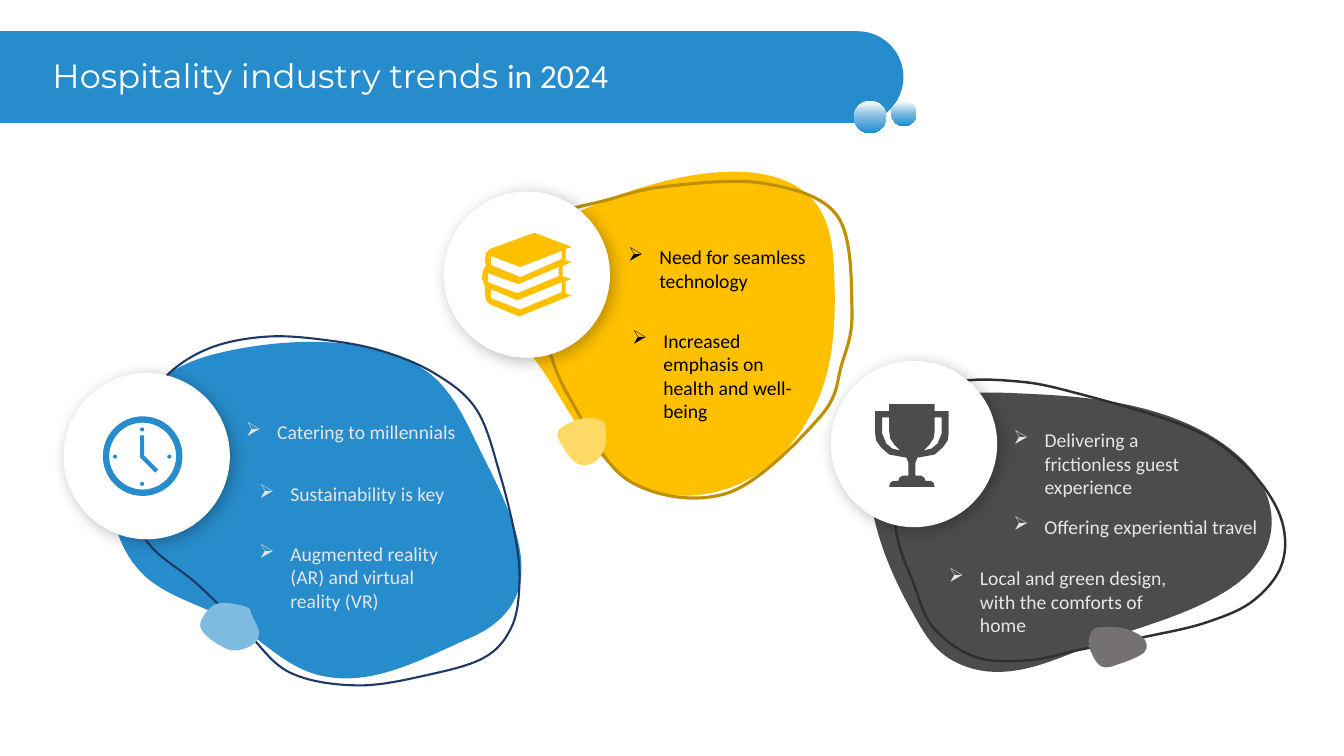
from copy import deepcopy
from functools import partial
from lxml.etree import Element, SubElement
from pptx import Presentation
from pptx.dml.color import RGBColor
from pptx.enum.shapes import MSO_SHAPE
from pptx.enum.text import MSO_ANCHOR, MSO_AUTO_SIZE
from pptx.oxml.ns import qn
from pptx.util import Inches, Pt

COLORS = {"blue": "278CCB", "navy": "203864", "sky": "7FBBE0", "deep": "1B8FD7", "yellow": "FFC000",
          "ochre": "BF9000", "cream": "FFD966", "gray": "4C4C4D", "coal": "302F2F", "stone": "767171",
          "white": "FFFFFF", "black": "000000", "pale": "E7E6E6"}


def rgb(name):
    return RGBColor.from_string(COLORS[name])


def pairs(*numbers):
    return list(zip(numbers[::2], numbers[1::2]))


def mirror(points):
    return [(2.09 - x, y) for x, y in reversed(points)]


def smooth_loop(anchors):
    """Return Bezier points of a smooth closed curve through the anchors."""
    count, curve = len(anchors), [anchors[0]]
    for i in range(count):
        before, start, end, after = (anchors[(i + step) % count] for step in (-1, 0, 1, 2))
        curve.append(tuple(s + (e - b) / 6 for b, s, e in zip(before, start, end)))
        curve.append(tuple(e - (a - s) / 6 for s, e, a in zip(start, end, after)))
        curve.append(end)
    return curve


def paint(shape, fill=None, line=None, width=1.5):
    shape.shadow.inherit = False
    for part, color in ((shape.fill, fill), (shape.line.fill, line)):
        if color:
            part.solid()
            part.fore_color.rgb = rgb(color)
        else:
            part.background()
    if line:
        shape.line.width = Pt(width)
    return shape


def add_outline(page, origin, contours, **style):
    contours = [[(Inches(x), Inches(y)) for x, y in contour] for contour in contours]
    builder = page.shapes.build_freeform(*contours[0][0], scale=1.0)
    for i, contour in enumerate(contours):
        if i:
            builder.move_to(*contour[0])
        builder.add_line_segments(contour[1:], close=True)
    return paint(builder.convert_to_shape(*map(Inches, origin)), **style)


def add_curve(page, origin, curve, **style):
    """Draw an outline through every third point, bent by the two between."""
    anchors = curve[::3]
    left, top = (min(values) for values in zip(*anchors))
    outline = add_outline(page, origin, [anchors], **style)
    sides = list(outline._element.iter(qn("a:lnTo")))
    for i, side in enumerate(sides[:len(anchors) - 1]):
        bend = Element(qn("a:cubicBezTo"))
        for x, y in curve[3 * i + 1:3 * i + 4]:
            SubElement(bend, qn("a:pt"), x=str(Inches(x - left)), y=str(Inches(y - top)))
        side.getparent().replace(side, bend)


def add_preset(page, kind, left, top, width, height, fill):
    return paint(page.shapes.add_shape(kind, *map(Inches, (left, top, width, height))), fill)


def add_disc(page, left, top):
    disc = add_preset(page, MSO_SHAPE.OVAL, left, top, 1.65, 1.65, "white")
    shadow = SubElement(disc._element.spPr.find(qn("a:effectLst")), qn("a:outerShdw"), blurRad=str(Pt(11)),
                        dist=str(Pt(3)), dir="2700000", algn="tl", rotWithShape="0")
    color = SubElement(shadow, qn("a:srgbClr"), val=COLORS["black"])
    SubElement(color, qn("a:alpha"), val="27000")


def add_clock(page, origin, fill):
    x, y = origin[0] + 1.41, origin[1] + 1.53
    add_preset(page, MSO_SHAPE.DONUT, x - 0.39, y - 0.4, 0.79, 0.79, fill).adjustments[0] = 0.08
    for dx, dy in ((0, -0.27), (0, 0.27), (-0.27, 0), (0.27, 0)):
        add_preset(page, MSO_SHAPE.OVAL, x + dx - 0.02, y + dy - 0.02, 0.04, 0.04, fill)
    hands = pairs(0.02, -0.21, -0.02, -0.21, -0.02, 0.01, 0.13, 0.16, 0.16, 0.13, 0.02, -0.01)
    add_outline(page, (x, y), [hands], fill=fill)


def add_bullet(page, text, box, color, anchor):
    frame = page.shapes.add_textbox(*map(Inches, box)).text_frame
    layout = {"word_wrap": True, "vertical_anchor": anchor}
    layout.update({f"margin_{side}": 0 for side in ("left", "right", "top", "bottom")})
    for name, value in layout.items():
        setattr(frame, name, value)
    para = frame.paragraphs[0]
    para.text = text
    properties = para._p.get_or_add_pPr()
    properties.set("marL", str(Inches(0.31)))
    properties.set("indent", str(Inches(-0.31)))
    SubElement(properties, qn("a:buChar"), char="➢")
    for span in para.runs:
        span.font.name, span.font.size = "Calibri", Pt(14)
        span.font.color.rgb = rgb(color)


def add_panel(page, left, top, panel):
    """Draw one blob with its ring, pebble, icon disc and bullets."""
    origin, (main, edge, light) = (left, top), panel["colors"]
    add_curve(page, origin, panel["blob"], fill=main)
    add_curve(page, origin, smooth_loop(panel["ring"]), line=edge, width=panel["ring_width"])
    add_curve(page, origin, smooth_loop(panel["pebble"]), fill=light)
    add_disc(page, left + panel["disc"][0], top + panel["disc"][1])
    panel["icon"](page, origin, fill=main)
    for text, x, y, width, height in panel["bullets"]:
        add_bullet(page, text, (left + x, top + y, width, height), panel["text"], panel["anchor"])


def add_header(page, left, top, width, height):
    # The rounded end of the band points up until it is turned
    inset = (width - height) / 2
    banner = add_preset(page, MSO_SHAPE.ROUND_2_SAME_RECTANGLE, left + inset, top - inset, height, width, "blue")
    banner.rotation = 90
    banner.adjustments[0], banner.adjustments[1] = 0.5, 0
    title = page.shapes.title
    title._element.addprevious(banner._element)
    for name, value in {"left": left + 0.42, "top": top + 0.21, "width": 7.62, "height": 0.48}.items():
        setattr(title, name, Inches(value))
    title.text_frame.vertical_anchor = MSO_ANCHOR.BOTTOM
    title.text_frame.auto_size = MSO_AUTO_SIZE.NONE
    para = title.text_frame.paragraphs[0]
    para.line_spacing = 0.9
    para._p.get_or_add_pPr().set("algn", "l")
    for text, font in (("Hospitality industry trends ", "Montserrat"), ("in 2024", "Calibri")):
        span = para.add_run()
        span.text, span.font.name, span.font.size = text, font, Pt(24)
        span.font.color.rgb = rgb("white")
    for x, size in ((8.47, 0.32), (8.84, 0.25)):
        bubble = add_preset(page, MSO_SHAPE.OVAL, left + x, top + 0.69, size, size, "sky")
        bubble.fill.gradient()
        bubble.fill.gradient_angle = 270
        stops = bubble._element.spPr.find(".//" + qn("a:gsLst"))
        stops.append(deepcopy(stops[0]))
        for stop, position, name in zip(bubble.fill.gradient_stops, (0, 0.5, 1), ("white", "sky", "deep")):
            stop.position, stop.color.rgb = position, rgb(name)


BOOKS = [
    pairs(1.67, 1.6, 1.61, 1.58, 1.61, 1.47, 1.67, 1.45, 1.3, 1.31, 0.86, 1.47, 0.82, 1.51, 0.81, 1.59, 0.82, 1.64,
          0.79, 1.68, 0.78, 1.76, 0.81, 1.85, 0.81, 1.91, 0.82, 1.98, 0.86, 2.02, 1.15, 2.14, 1.67, 1.93,
          1.61, 1.91, 1.61, 1.79, 1.67, 1.77, 1.58, 1.74, 1.58, 1.64),
    pairs(0.87, 1.54, 1.16, 1.65, 1.57, 1.49, 1.57, 1.57, 1.16, 1.75, 0.87, 1.63),
    pairs(1.57, 1.9, 1.16, 2.07, 0.87, 1.96, 0.87, 1.87, 1.13, 1.98, 1.57, 1.8),
    pairs(1.54, 1.74, 1.13, 1.91, 0.84, 1.8, 0.84, 1.71, 1.14, 1.82, 1.54, 1.65)]
CUP = pairs(1.27, 1.01, 1.27, 1.08, 1.41, 1.08, 1.41, 1.3, 1.4, 1.37, 1.35, 1.44, 1.27, 1.51, 1.1, 1.54, 1.08, 1.59,
            1.08, 1.72, 1.14, 1.72, 1.17, 1.74, 1.18, 1.77, 1.23, 1.77, 1.26, 1.79, 1.27, 1.83)
HANDLE = pairs(1.3, 1.4, 1.24, 1.45, 1.16, 1.47, 1.22, 1.41, 1.26, 1.35, 1.27, 1.28, 1.27, 1.14, 1.34, 1.14, 1.34, 1.3)
TROPHY = [CUP + mirror(CUP), HANDLE, mirror(HANDLE)]
MILLENNIALS = {
    "colors": ("blue", "navy", "sky"), "ring_width": 1.5, "disc": (0.63, 0.7), "icon": add_clock,
    "text": "pale", "anchor": MSO_ANCHOR.MIDDLE,
    "blob": pairs(4.7, 1.34, 4.59, 1.11, 4.47, 0.88, 4.28, 0.72, 3.75, 0.3, 2.81, 0.35, 2.18, 0.5, 1.52, 0.65, 1.09, 1.1,
                  1.09, 1.78, 1.09, 2.14, 1.19, 2.52, 1.49, 2.76, 1.75, 2.96, 2.09, 3.03, 2.37, 3.21, 2.64, 3.39,
                  2.88, 3.65, 3.22, 3.71, 3.72, 3.81, 4.22, 3.52, 4.66, 3.33, 5.6, 2.92, 5.02, 2.01, 4.7, 1.34),
    "ring": pairs(4.96, 1.71, 4.73, 1.07, 4.32, 0.71, 3.78, 0.48, 3.2, 0.37, 2.64, 0.34, 2.09, 0.45, 1.66, 0.72,
                  1.37, 1.15, 1.27, 1.76, 1.45, 2.36, 1.95, 2.79, 2.42, 3.24, 2.87, 3.67, 3.55, 3.8, 4.27, 3.69,
                  4.81, 3.52, 5.07, 3.23, 5.15, 2.84, 5.12, 2.38),
    "pebble": pairs(2.5, 3.11, 2.44, 3.02, 2.15, 2.99, 1.99, 3.17, 2.05, 3.31, 2.29, 3.45, 2.5, 3.4, 2.57, 3.28),
    "bullets": [("Catering to millennials", 2.44, 1.13, 2.13, 0.3), ("Sustainability is key", 2.57, 1.7, 2.13, 0.4),
                ("Augmented reality (AR) and virtual\vreality (VR)", 2.57, 2.37, 2.13, 0.71)]}
TECHNOLOGY = {
    "colors": ("yellow", "ochre", "cream"), "ring_width": 2.25, "disc": (0.4, 0.9),
    "icon": partial(add_outline, contours=BOOKS), "text": "black", "anchor": MSO_ANCHOR.TOP,
    "blob": pairs(4.14, 2.9, 4.26, 2.58, 4.28, 2.25, 4.28, 1.92, 4.27, 1.6, 4.28, 1.21, 4.05, 0.97, 3.73, 0.63,
                  3.13, 0.68, 2.71, 0.77, 2.34, 0.85, 1.99, 0.98, 1.66, 1.14, 1.44, 1.24, 1.17, 1.35, 1.04, 1.56,
                  0.8, 1.96, 1.12, 2.31, 1.35, 2.63, 1.51, 2.85, 1.63, 3.09, 1.79, 3.31, 1.94, 3.53, 2.14, 3.73,
                  2.4, 3.84, 2.74, 3.98, 3.15, 3.92, 3.47, 3.73, 3.79, 3.54, 4.01, 3.23, 4.14, 2.9),
    "ring": pairs(4.13, 3.14, 4.35, 2.61, 4.45, 2.08, 4.31, 1.15, 3.58, 0.82, 2.6, 0.85, 2, 0.99, 1.54, 1.13,
                  1.21, 1.45, 1.2, 1.91, 1.41, 2.38, 1.64, 2.93, 2.24, 3.77, 3.22, 3.89),
    "pebble": pairs(1.99, 3.46, 2.01, 3.32, 1.98, 3.18, 1.78, 3.15, 1.54, 3.27, 1.58, 3.43, 1.73, 3.6, 1.89, 3.59),
    "bullets": [("Need for seamless technology", 2.23, 1.43, 1.95, 0.61),
                ("Increased emphasis on health and well-being", 2.27, 2.26, 1.83, 0.94)]}
EXPERIENCE = {
    "colors": ("gray", "coal", "stone"), "ring_width": 1.75, "disc": (0.24, 0.58),
    "icon": partial(add_outline, contours=TROPHY), "text": "pale", "anchor": MSO_ANCHOR.MIDDLE,
    "blob": pairs(3.47, 1.09, 3.08, 0.97, 2.67, 0.93, 2.25, 0.91, 1.86, 0.89, 1.38, 0.86, 1.05, 1.04, 0.6, 1.28,
                  0.6, 1.78, 0.67, 2.14, 0.74, 2.45, 0.87, 2.75, 1.03, 3.04, 1.14, 3.23, 1.24, 3.46, 1.5, 3.58,
                  1.97, 3.8, 2.44, 3.55, 2.86, 3.39, 3.15, 3.27, 3.46, 3.19, 3.75, 3.07, 4.04, 2.95, 4.32, 2.8,
                  4.47, 2.59, 4.68, 2.32, 4.65, 1.97, 4.44, 1.69, 4.23, 1.42, 3.87, 1.21, 3.47, 1.09),
    "ring": pairs(3.76, 1.23, 2.6, 0.88, 2.04, 0.78, 1.5, 0.79, 1.1, 0.99, 0.91, 1.33, 0.88, 2.21, 1.07, 2.81,
                  1.26, 3.23, 1.68, 3.52, 2.21, 3.55, 2.74, 3.44, 3.35, 3.32, 3.95, 3.18, 4.43, 2.96, 4.72, 2.58,
                  4.69, 2.1, 4.33, 1.6),
    "pebble": pairs(3.2, 3.25, 3.03, 3.22, 2.85, 3.24, 2.8, 3.4, 2.92, 3.61, 3.12, 3.58, 3.35, 3.47, 3.35, 3.34),
    "bullets": [("Delivering a frictionless guest experience", 2.05, 1.29, 2.08, 0.61),
                ("Offering experiential travel", 2.05, 2.1, 2.44, 0.24),
                ("Local and green design, with the comforts of home", 1.41, 2.61, 2.2, 0.71)]}

deck = Presentation()
deck.slide_width, deck.slide_height = Inches(13.33), Inches(7.5)
page = deck.slides.add_slide(deck.slide_layouts[5])
add_header(page, 0, 0.31, 8.96, 0.91)
add_panel(page, 0, 3, MILLENNIALS)
add_panel(page, 4, 1, TECHNOLOGY)
add_panel(page, 8, 3, EXPERIENCE)
deck.save("out.pptx")
